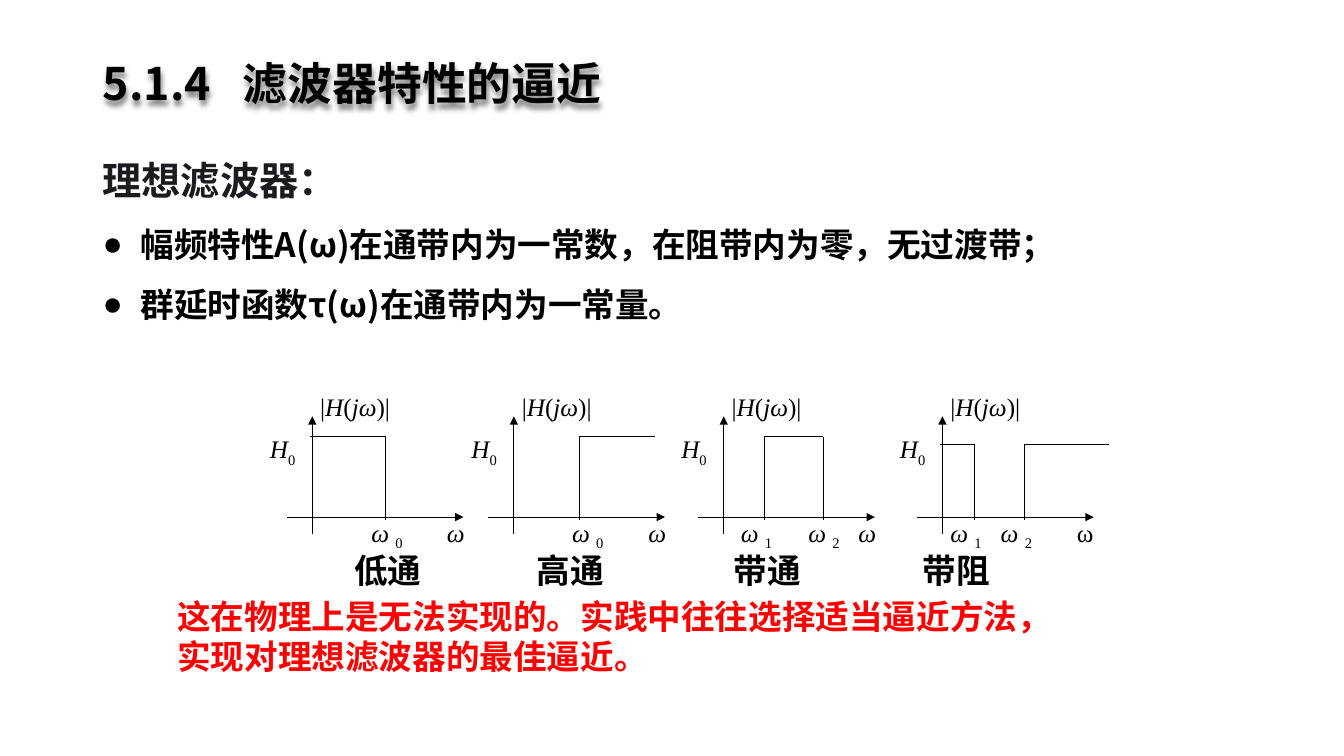
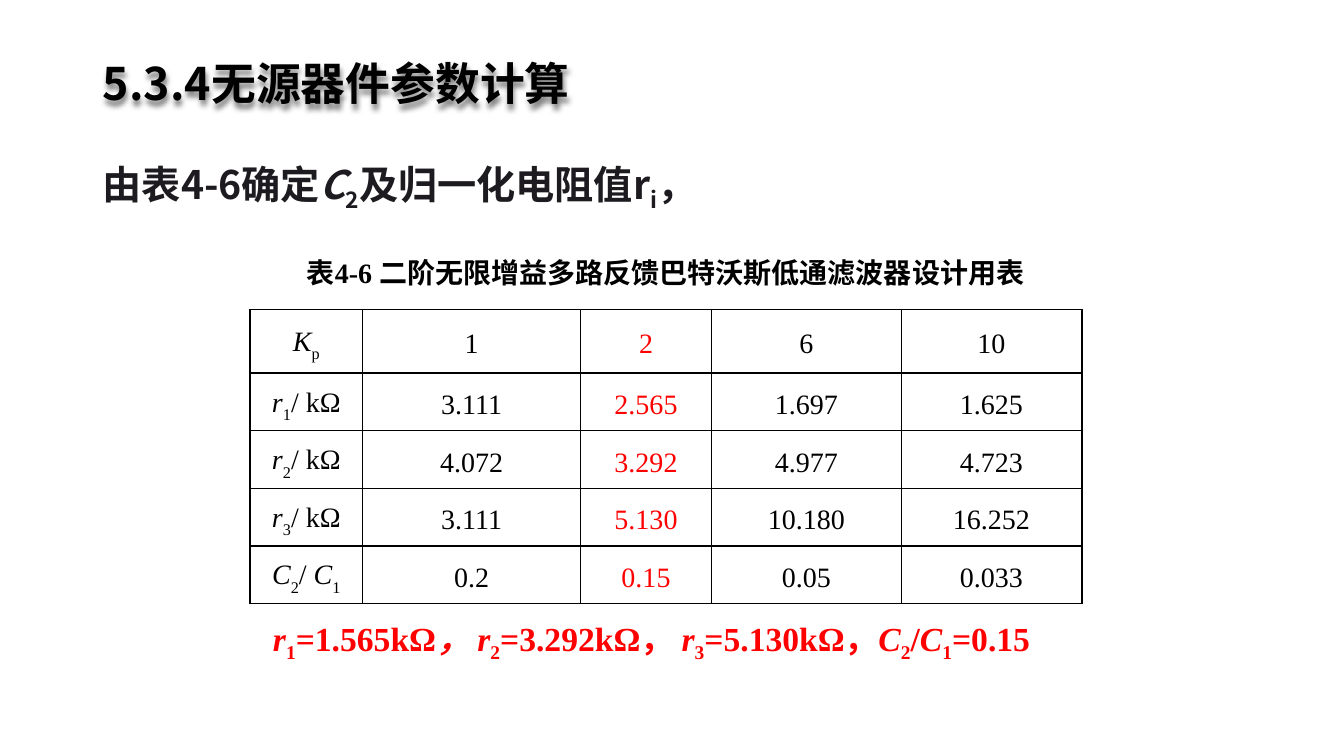
from collections.abc import Sequence
from dataclasses import dataclass
from typing import NamedTuple

from lxml.etree import SubElement
from pptx import Presentation
from pptx.dml.color import RGBColor
from pptx.enum.shapes import MSO_CONNECTOR
from pptx.enum.text import MSO_ANCHOR, PP_ALIGN
from pptx.oxml.ns import qn
from pptx.util import Cm, Pt


@dataclass(frozen=True)
class Theme:
    sans: str = "Noto Sans CJK SC"
    serif: str = "Times New Roman"
    black: RGBColor = RGBColor(0x00, 0x00, 0x00)
    heading: RGBColor = RGBColor(0x1D, 0x1B, 0x1F)
    red: RGBColor = RGBColor(0xFF, 0x00, 0x00)
    title_size: int = 32
    heading_size: int = 28
    body_size: int = 24
    table_size: int = 20
    symbol_size: int = 18
    line_width: float = 0.75


THEME = Theme()


class Run(NamedTuple):
    text: str
    italic: bool = False
    subscript: bool = False


class Box(NamedTuple):
    """Left, top, width and height in centimetres."""
    left: float
    top: float
    width: float
    height: float


Line = Sequence[Run]

TITLE_BOX = Box(2.34, 1.35, 29.21, 1.65)
BODY_BOX = Box(2.34, 3.23, 29.21, 13.92)
TITLE_TAB = 3.53


def plain(text: str) -> Run:
    return Run(text)


def var(text: str) -> Run:
    return Run(text, italic=True)


def sub(text: str) -> Run:
    return Run(text, subscript=True)


@dataclass(frozen=True)
class FilterPlot:
    """One ideal response; horizontal places are measured from its origin."""
    name: str
    name_dx: float
    origin: float
    level: float
    passbands: tuple[tuple[float, float], ...]
    cutoffs: tuple[float, ...]
    cutoff_labels: tuple[tuple[str, float], ...]
    frequency: Run = var("ω")


PLOTS = (
    FilterPlot("低通", 0.81, 7.87, 11, ((-0.05, 1.85),), (1.85,), (("0", 1.24),)),
    FilterPlot("高通", 0.33, 12.95, 11, ((1.65, 3.56),), (1.65,), (("0", 1.22),)),
    FilterPlot("带通", 0, 18.24, 11, ((1.02, 2.51),), (1.02, 2.51),
               (("1", 0.18), ("2", 1.88))),
    FilterPlot("带阻", -0.74, 23.75, 11.2, ((-0.05, 0.81), (2.08, 4.19)), (0.81, 2.08),
               (("1", -0.05), ("2", 1.22)), plain("ω")),
)
AXIS_Y = 13.03

COLUMN_WIDTHS = (2.84, 5.49, 3.3, 4.78, 4.55)
HEADER_HEIGHT, ROW_HEIGHT = 1.6, 1.45
CHOSEN_COLUMN = 2
DESIGN_ROWS = (
    ((var("K"), sub("p")), "1", "2", "6", "10"),
    ((var("r"), sub("1"), plain("/ kΩ")), "3.111", "2.565", "1.697", "1.625"),
    ((var("r"), sub("2"), plain("/ kΩ")), "4.072", "3.292", "4.977", "4.723"),
    ((var("r"), sub("3"), plain("/ kΩ")), "3.111", "5.130", "10.180", "16.252"),
    ((var("C"), sub("2"), plain("/"), var(" C"), sub("1")), "0.2", "0.15", "0.05", "0.033"),
)


def write(paragraph, text: str | Line, *, size: float, color: RGBColor = THEME.black,
          font: str = THEME.serif, bold: bool = False, spacing: float | None = None,
          align: PP_ALIGN = PP_ALIGN.LEFT, drop: int = -25) -> None:
    """Fill a paragraph; drop is the subscript offset in percent."""
    paragraph.alignment = align
    if spacing:
        paragraph.line_spacing = spacing
    for part in (plain(text),) if isinstance(text, str) else text:
        run = paragraph.add_run()
        run.text = part.text
        run.font.size = Pt(size)
        run.font.bold = bold
        run.font.italic = part.italic
        run.font.color.rgb = color
        run.font.name = font
        properties = run._r.get_or_add_rPr()
        SubElement(properties, qn("a:ea")).set("typeface", THEME.sans)
        if part.subscript:
            properties.set("baseline", str(drop * 1000))


def add_text(slide, box: Box, text: str | Line, *, wrap: bool = True,
             anchor: MSO_ANCHOR = MSO_ANCHOR.TOP, **text_format):
    shape = slide.shapes.add_textbox(*map(Cm, box))
    frame = shape.text_frame
    frame.word_wrap = wrap
    frame.vertical_anchor = anchor
    write(frame.paragraphs[0], text, **text_format)
    return shape


def add_title(slide, text: str) -> None:
    title = add_text(slide, TITLE_BOX, text, size=THEME.title_size, font=THEME.sans,
                     bold=True, spacing=0.9, anchor=MSO_ANCHOR.MIDDLE)
    tabs = SubElement(title.text_frame.paragraphs[0]._p.get_or_add_pPr(), qn("a:tabLst"))
    SubElement(tabs, qn("a:tab"), pos=str(Cm(TITLE_TAB)), algn="l")
    effects = SubElement(title._element.spPr, qn("a:effectLst"))
    shadow = SubElement(effects, qn("a:outerShdw"), blurRad="50800", dist="38100",
                        dir="5400000", algn="t", rotWithShape="0")
    tint = SubElement(shadow, qn("a:srgbClr"), val=str(THEME.black))
    SubElement(tint, qn("a:alpha"), val="50000")


def add_body(slide, heading: str | Line, bullets: Sequence[str] = ()) -> None:
    body = add_text(slide, BODY_BOX, heading, size=THEME.heading_size, color=THEME.heading,
                    font=THEME.sans, bold=True, spacing=1.5)
    for bullet in bullets:
        paragraph = body.text_frame.add_paragraph()
        properties = paragraph._p.get_or_add_pPr()
        properties.set("marL", str(Cm(0.95)))
        properties.set("indent", str(-Cm(0.95)))
        SubElement(properties, qn("a:buFont")).set("typeface", THEME.serif)
        SubElement(properties, qn("a:buChar")).set("char", "●")
        write(paragraph, bullet, size=THEME.body_size, font=THEME.sans, bold=True, spacing=1.5)


def add_line(slide, start: tuple[float, float], end: tuple[float, float],
             arrow: bool = False) -> None:
    line = slide.shapes.add_connector(MSO_CONNECTOR.STRAIGHT, *map(Cm, (*start, *end)))
    line.line.color.rgb = THEME.black
    line.line.width = Pt(THEME.line_width)
    if arrow:
        SubElement(line.line._get_or_add_ln(), qn("a:tailEnd")).set("type", "triangle")
    SubElement(line._element.spPr, qn("a:effectLst"))


def draw_plot(slide, plot: FilterPlot) -> None:
    x = plot.origin
    add_line(slide, (x - 0.64, AXIS_Y), (x + 3.81, AXIS_Y), arrow=True)
    add_line(slide, (x, 13.46), (x, 10.49), arrow=True)
    for start, end in plot.passbands:
        add_line(slide, (x + start, plot.level), (x + end, plot.level))
    for cutoff in plot.cutoffs:
        add_line(slide, (x + cutoff, plot.level), (x + cutoff, AXIS_Y + 0.08))

    magnitude = (plain("|"), var("H"), plain("("), var("jω"), plain(")|"))
    symbols = [
        (Box(x - 0.05, 9.73, 2.29, 1.02), magnitude),
        (Box(x - 1.32, 10.8, 1.19, 1.02), (var("H"), sub("0"))),
        (Box(x + 3.14, 12.9, 0.94, 1.02), (plot.frequency,)),
    ]
    symbols += [(Box(x + dx, 12.9, 1.52, 1.02), (var("ω "), sub(index)))
                for index, dx in plot.cutoff_labels]
    for box, symbol in symbols:
        add_text(slide, box, symbol, size=THEME.symbol_size, wrap=False)
    add_text(slide, Box(x + plot.name_dx, 13.72, 2.4, 1.27), plot.name,
             size=THEME.body_size, bold=True)


def set_borders(cell, widths: dict[str, float]) -> None:
    properties = cell._tc.get_or_add_tcPr()
    for side in "LRTB":
        border = SubElement(properties, qn(f"a:ln{side}"), w=str(Pt(widths.get(side, 1))))
        fill = SubElement(border, qn("a:solidFill"))
        SubElement(fill, qn("a:srgbClr"), val=str(THEME.black))


def add_design_table(slide) -> None:
    last = len(COLUMN_WIDTHS) - 1
    heights = (HEADER_HEIGHT,) + (ROW_HEIGHT,) * (len(DESIGN_ROWS) - 1)
    table = slide.shapes.add_table(len(heights), len(COLUMN_WIDTHS), Cm(6.3), Cm(7.8),
                                   Cm(sum(COLUMN_WIDTHS)), Cm(sum(heights))).table
    table.first_row = table.horz_banding = False
    for column, width in zip(table.columns, COLUMN_WIDTHS):
        column.width = Cm(width)
    for r, (row, height) in enumerate(zip(DESIGN_ROWS, heights)):
        table.rows[r].height = Cm(height)
        for c, value in enumerate(row):
            cell = table.cell(r, c)
            outer = {"L": 1.5} if c == 0 and r > 0 else {"R": 1.5} if c == last else {}
            set_borders(cell, outer)
            cell.fill.background()
            cell.vertical_anchor = MSO_ANCHOR.MIDDLE
            write(cell.text_frame.paragraphs[0], value, size=THEME.table_size,
                  color=THEME.red if c == CHOSEN_COLUMN else THEME.black,
                  spacing=1.2, align=PP_ALIGN.CENTER, drop=-30)


def build_approximation_slide(slide) -> None:
    add_title(slide, "5.1.4\t滤波器特性的逼近")
    add_body(slide, "理想滤波器：", (
        "幅频特性A(ω)在通带内为一常数，在阻带内为零，无过渡带；",
        "群延时函数τ(ω)在通带内为一常量。",
    ))
    for plot in PLOTS:
        draw_plot(slide, plot)
    add_text(slide, Box(4.22, 14.88, 22.2, 2.31),
             "这在物理上是无法实现的。实践中往往选择适当逼近方法，实现对理想滤波器的最佳逼近。",
             size=THEME.body_size, color=THEME.red, font=THEME.sans, bold=True)


def build_parameter_slide(slide) -> None:
    add_title(slide, "5.3.4无源器件参数计算")
    add_body(slide, (plain("由表4-6确定"), var("C"), sub("2"), plain("及归一化电阻值r"),
                     sub("i"), plain("，")))
    add_text(slide, Box(7.34, 6.32, 18.87, 1.09),
             "表4-6 二阶无限增益多路反馈巴特沃斯低通滤波器设计用表",
             size=THEME.table_size, bold=True, align=PP_ALIGN.CENTER,
             anchor=MSO_ANCHOR.MIDDLE)
    add_design_table(slide)
    result = (
        var("r"), sub("1"), plain("=1.565kΩ"), var("， r"), sub("2"), plain("=3.292kΩ， "),
        var("r"), sub("3"), plain("=5.130kΩ，"),
        var("C"), sub("2"), plain("/"), var("C"), sub("1"), plain("=0.15"),
    )
    add_text(slide, Box(6.63, 15.44, 23.29, 1.27), result, size=THEME.body_size,
             color=THEME.red, bold=True)


def main() -> None:
    presentation = Presentation()
    presentation.slide_width, presentation.slide_height = Cm(33.87), Cm(19.05)
    blank = presentation.slide_layouts[6]
    for build in (build_approximation_slide, build_parameter_slide):
        build(presentation.slides.add_slide(blank))
    presentation.save("out.pptx")


if __name__ == "__main__":
    main()
